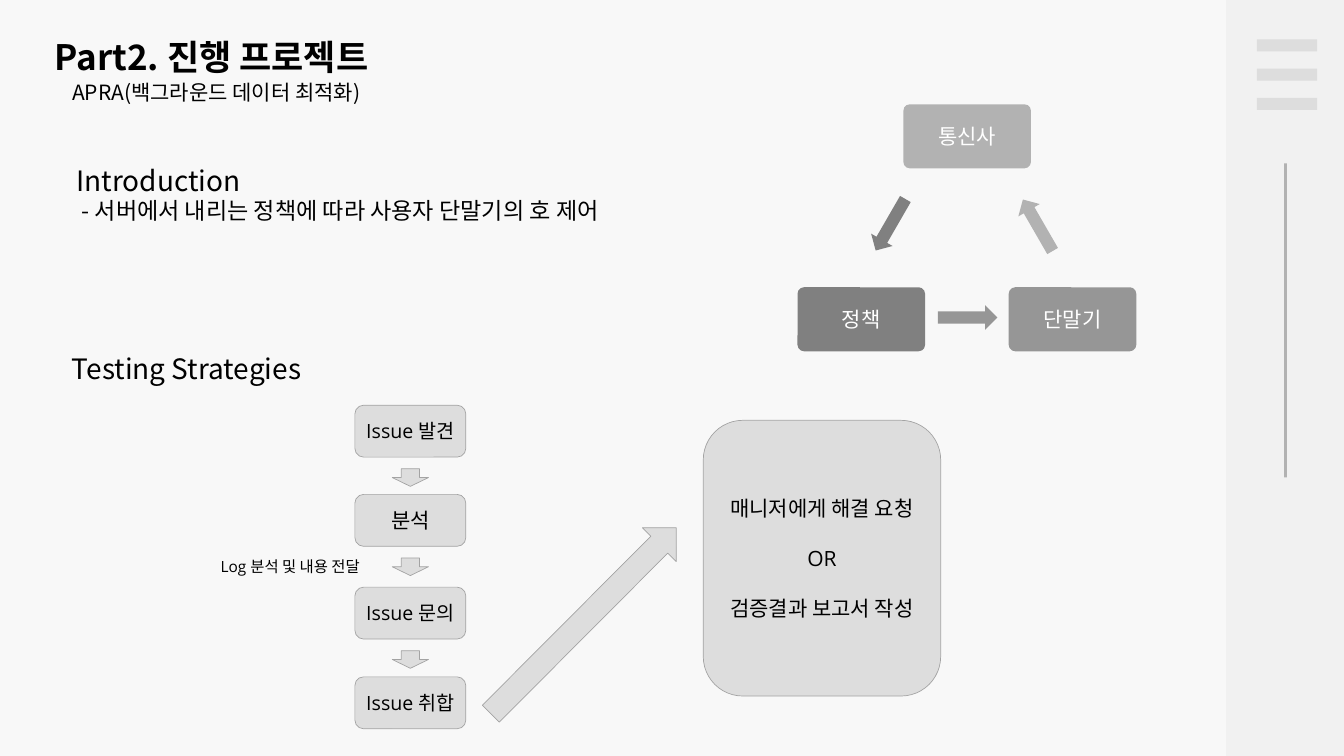
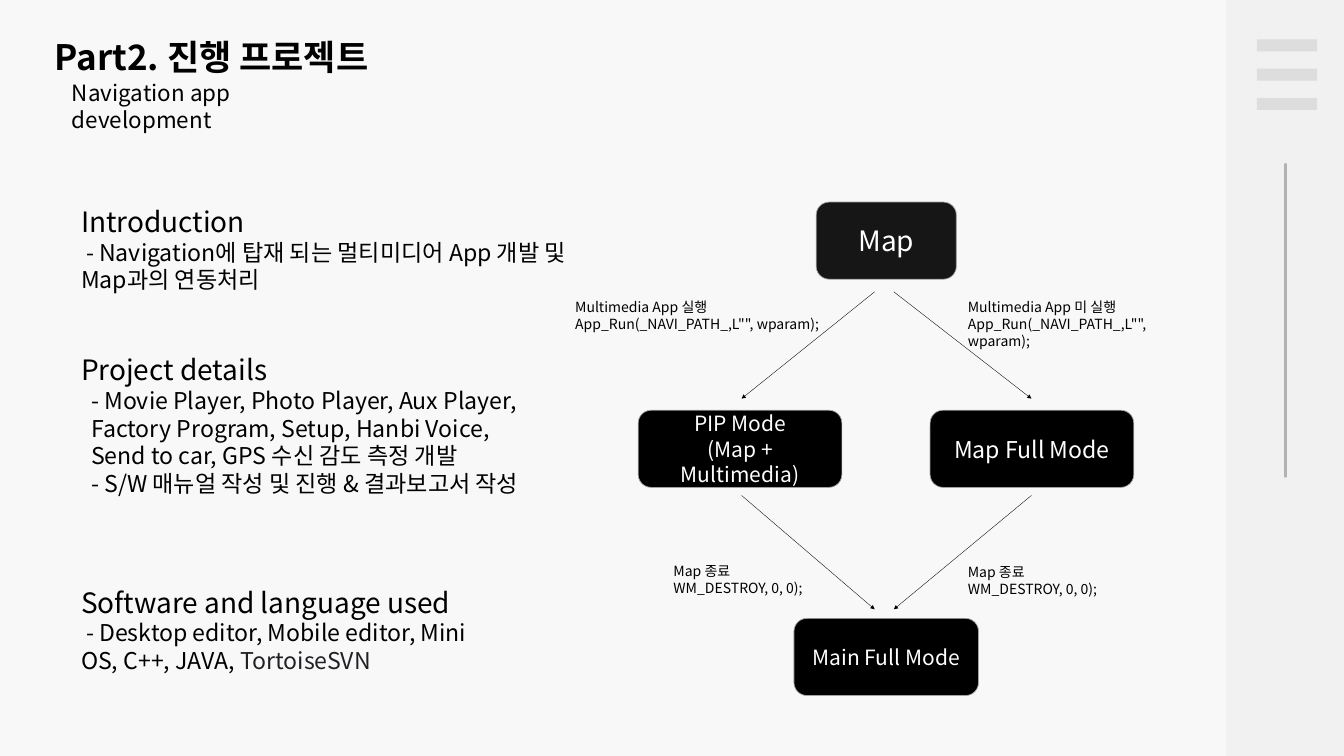
from lxml import etree
from pptx import Presentation
from pptx.dml.color import RGBColor
from pptx.enum.shapes import MSO_CONNECTOR, MSO_SHAPE
from pptx.enum.text import MSO_ANCHOR, MSO_AUTO_SIZE, PP_ALIGN
from pptx.oxml.ns import qn
from pptx.util import Inches, Pt

RECT, ROUND = MSO_SHAPE.RECTANGLE, MSO_SHAPE.ROUNDED_RECTANGLE
ARROW = MSO_SHAPE.DOWN_ARROW
LEFT, CENTER = PP_ALIGN.LEFT, PP_ALIGN.CENTER
TOP, MIDDLE = MSO_ANCHOR.TOP, MSO_ANCHOR.MIDDLE
GROW = MSO_AUTO_SIZE.SHAPE_TO_FIT_TEXT
STRAIGHT = MSO_CONNECTOR.STRAIGHT

PAPER = RGBColor(0xF8, 0xF8, 0xF8)
BAND = RGBColor(0xEC, 0xEC, 0xEC)
PALE = RGBColor(0xDD, 0xDD, 0xDD)
SILVER = RGBColor(0xB2, 0xB2, 0xB2)
EDGE = RGBColor(0xA3, 0xA3, 0xA3)
STEEL = RGBColor(0x96, 0x96, 0x96)
GRAY = RGBColor(0x80, 0x80, 0x80)
INK = RGBColor(0x20, 0x21, 0x24)
COAL = RGBColor(0x16, 0x16, 0x16)
BLACK = RGBColor(0, 0, 0)
WHITE = RGBColor(0xFF, 0xFF, 0xFF)

NOTO, OPEN = "Noto Sans CJK KR", "Open Sans"
LEADING = 1.2
TITLE = "Part2. 진행 프로젝트"


def add_run(para, text, size, font, color, bold=False):
    run = para.add_run()
    run.text = text
    run.font.size, run.font.name, run.font.bold = Pt(size), font, bold
    run.font.color.rgb = color
    asian = etree.SubElement(run.font._element, qn("a:ea"))
    asian.set("typeface", NOTO)


def write(frame, paras, font=NOTO, color=BLACK, align=LEFT, bold=False, gap=0):
    """Each paragraph is (text or runs, size, left margin, first-line indent)."""
    frame.word_wrap = True
    for i, (text, size, *shift) in enumerate(paras):
        para = frame.paragraphs[0] if i == 0 else frame.add_paragraph()
        para.alignment = align
        para.line_spacing = Pt(size * LEADING)
        if i and gap:
            para.space_before = Pt(gap)
        if shift:
            props = para._p.get_or_add_pPr()
            props.set("marL", str(Inches(shift[0])))
            props.set("indent", str(Inches(shift[1])))
        runs = [(text, color)] if isinstance(text, str) else text
        for words, tint in runs:
            add_run(para, words, size, font, tint, bold)


def add_text(slide, x, y, w, h, paras, font=NOTO):
    box = slide.shapes.add_textbox(Inches(x), Inches(y), Inches(w), Inches(h))
    write(box.text_frame, paras, font)
    box.text_frame.auto_size = GROW


def add_block(slide, kind, x, y, w, h, fill, edge=None, turn=0):
    shape = slide.shapes.add_shape(kind, Inches(x), Inches(y), Inches(w), Inches(h))
    shape.shadow.inherit = False
    shape.rotation = turn
    shape.fill.solid()
    shape.fill.fore_color.rgb = fill
    if edge is None:
        shape.line.fill.background()
    else:
        shape.line.color.rgb = edge
        shape.line.width = Pt(1)
    return shape


def add_box(slide, x, y, w, h, fill, paras, edge=EDGE, font=NOTO, color=WHITE, gap=0):
    box = add_block(slide, ROUND, x, y, w, h, fill, edge)
    box.text_frame.vertical_anchor = MIDDLE
    write(box.text_frame, paras, font, color, CENTER, gap=gap)
    return box


def add_link(slide, x1, y1, x2, y2):
    link = slide.shapes.add_connector(
        STRAIGHT, Inches(x1), Inches(y1), Inches(x2), Inches(y2))
    link.line.color.rgb = BLACK
    link.line.width = Pt(0.5)
    tip = etree.SubElement(link.line._get_or_add_ln(), qn("a:tailEnd"))
    tip.set("type", "triangle")
    etree.SubElement(link._element.spPr, qn("a:effectLst"))


def add_side(slide):
    band = add_block(slide, RECT, 24.32, 0, 2.34, 15, BAND)
    tint = band._element.spPr.find(qn("a:solidFill"))[0]
    etree.SubElement(tint, qn("a:alpha")).set("val", "50000")
    add_block(slide, RECT, 25.47, 3.24, 0.06, 6.23, SILVER)
    for i in range(3):
        add_block(slide, RECT, 24.93, 0.78 + 0.58 * i, 1.2, 0.24, PALE)


def start(deck, topic, size, width):
    """Add a slide with the shared title, its topic line and the side band."""
    slide = deck.slides.add_slide(deck.slide_layouts[5])
    title = slide.shapes.title
    title.left, title.top = Inches(0.98), Inches(0.65)
    title.width, title.height = Inches(6.75), Inches(0.94)
    title.text_frame.vertical_anchor = TOP
    write(title.text_frame, [(TITLE, 50)], bold=True)
    title.text_frame.auto_size = GROW
    add_text(slide, 1.33, 1.53, width, 0.61, [(topic, size)])
    add_side(slide)
    return slide


def add_cycle(slide):
    for name, x, y, fill in (("통신사", 17.92, 2.07, SILVER),
                             ("단말기", 20.01, 5.7, STEEL),
                             ("정책", 15.82, 5.7, GRAY)):
        box = add_box(slide, x, y, 2.53, 1.27, fill, [(name, 30)], None, OPEN)
        box.adjustments[0] = 0.1
    for x, y, turn, fill in ((17.42, 3.87, 30, GRAY),
                             (20.34, 3.88, 150, SILVER),
                             (18.95, 5.71, 270, STEEL)):
        add_block(slide, ARROW, x, y, 0.49, 1.18, fill, turn=turn)


def add_steps(slide):
    steps = (("Issue 발견", 28, 8.04), ("분석", 30, 9.81),
             ("Issue 문의", 28, 11.65), ("Issue 취합", 28, 13.43))
    for name, size, y in steps:
        add_box(slide, 7.04, y, 2.2, 1.03, PALE, [(name, size)],
                font=OPEN, color=BLACK)
    for name, size, y in steps[:-1]:
        add_block(slide, ARROW, 7.78, y + 1.26, 0.72, 0.35, PALE, EDGE)
    add_block(slide, ARROW, 11.1, 9.71, 0.95, 5.21, PALE, EDGE, 224.9)
    ends = ("매니저에게 해결 요청", "OR", "검증결과 보고서 작성")
    add_box(slide, 13.95, 8.34, 4.71, 5.47, PALE, [(text, 30) for text in ends],
            font=OPEN, color=BLACK, gap=36)
    add_text(slide, 4.28, 11.01, 3.72, 0.47, [("Log 분석 및 내용 전달", 22)], OPEN)


def add_modes(slide):
    for x, y, w, fill, paras in (
            (16.19, 4.01, 2.78, COAL, [("Map", 40)]),
            (12.66, 8.14, 4.04, BLACK, [("PIP Mode", 30), ("(Map + Multimedia)", 30)]),
            (18.45, 8.14, 4.04, BLACK, [("Map Full Mode", 33)]),
            (15.75, 12.27, 3.66, BLACK, [("Main Full Mode", 30)])):
        add_box(slide, x, y, w, 1.53, fill, paras)
    for inner, outer in ((17.35, 14.71), (17.73, 20.46)):
        add_link(slide, inner, 5.79, outer, 7.91)
        add_link(slide, outer, 9.83, inner, 12.09)
    call, quit = 'App_Run(_NAVI_PATH_,L"", wparam);', "WM_DESTROY, 0, 0);"
    for x, y, w, head, code in (
            (11.31, 5.88, 5.11, "Multimedia App 실행", call),
            (19.1, 5.88, 4.85, "Multimedia App 미 실행", call),
            (13.26, 11.12, 2.93, "Map 종료", quit),
            (19.1, 11.13, 2.93, "Map 종료", quit)):
        add_text(slide, x, y, w, 0.73, [(head, 20), (code, 20)])


def main():
    deck = Presentation()
    deck.slide_width, deck.slide_height = Inches(26.66), Inches(15)
    paper = deck.slide_master.background.fill
    paper.solid()
    paper.fore_color.rgb = PAPER

    # Background data project
    slide = start(deck, "APRA(백그라운드 데이터 최적화)", 30, 6.39)
    add_text(slide, 1.42, 3.19, 13.2, 1.33, [
        ("Introduction", 40),
        ("- 서버에서 내리는 정책에 따라 사용자 단말기의 호 제어", 33, 0, 0.1)])
    add_text(slide, 1.33, 6.93, 5.64, 0.77, [("Testing Strategies", 40)])
    add_cycle(slide)
    add_steps(slide)

    # Navigation project
    slide = start(deck, "Navigation app development", 32, 5.86)
    add_text(slide, 1.51, 4.01, 10.4, 1.88, [
        ("Introduction", 40),
        ("- Navigation에 탑재 되는 멀티미디어 App 개발 및 Map과의 연동처리",
         33, 0, 0.1)])
    add_text(slide, 1.51, 6.95, 9.05, 3.55, [
        ("Project details", 40),
        ("- Movie Player, Photo Player, Aux Player, Factory Program, Setup, "
         "Hanbi Voice, Send to car, GPS 수신 감도 측정 개발", 33, 0.2, 0),
        ("- S/W 매뉴얼 작성 및 진행 & 결과보고서 작성", 33, 0.2, 0)])
    tools = [("- Desktop editor, Mobile editor, Mini OS, C++, JAVA, ", BLACK),
             ("TortoiseSVN", INK)]
    add_text(slide, 1.51, 11.56, 8.35, 1.88, [
        ("Software and language used", 40), (tools, 33, 0, 0.1)])
    add_modes(slide)

    deck.save("out.pptx")


if __name__ == "__main__":
    main()
